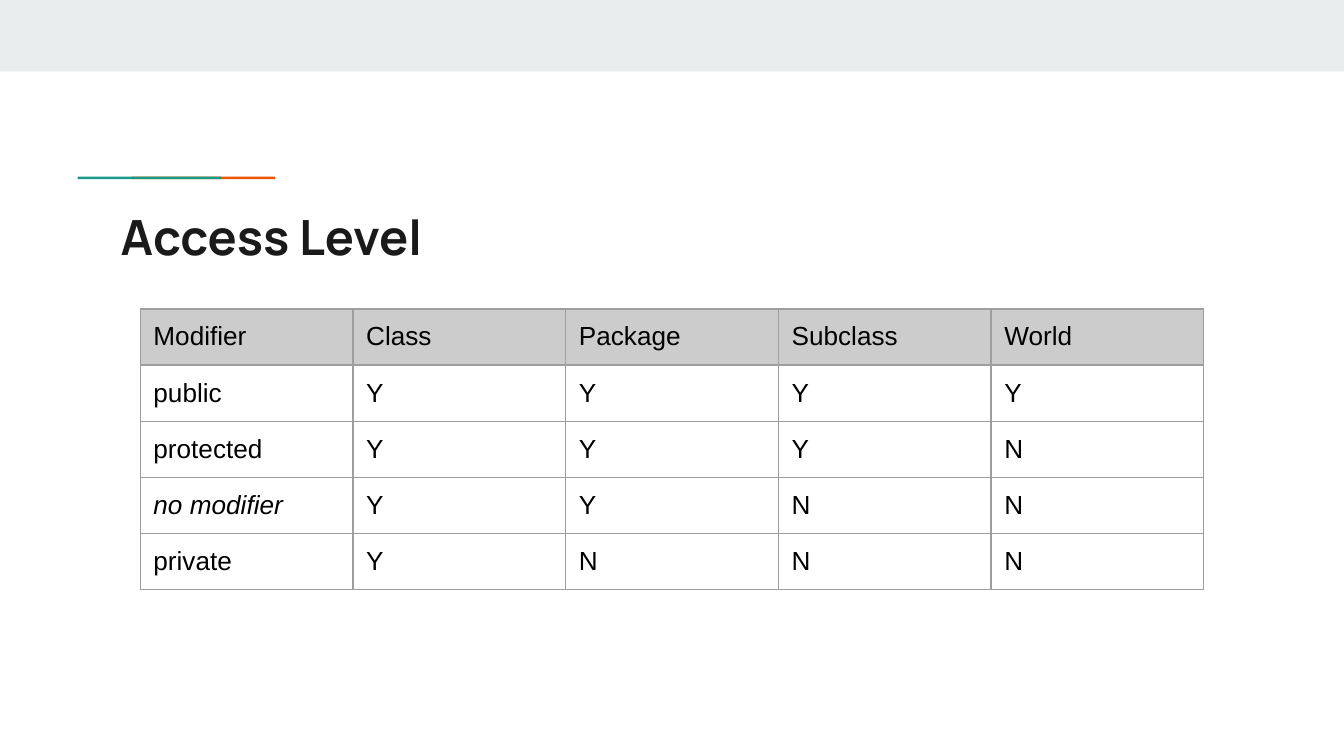
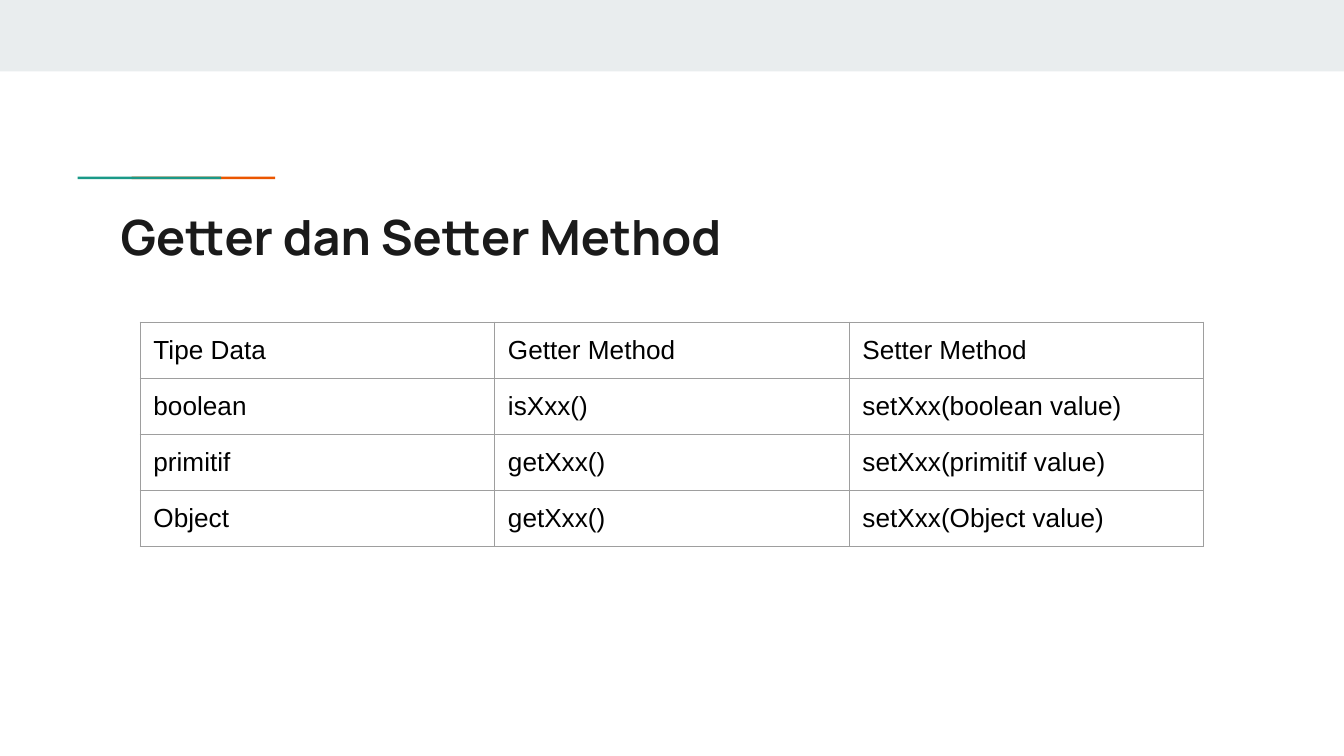
from lxml.etree import SubElement
from pptx import Presentation
from pptx.dml.color import RGBColor
from pptx.enum.shapes import MSO_SHAPE
from pptx.enum.text import MSO_ANCHOR, MSO_AUTO_SIZE, PP_ALIGN
from pptx.oxml.ns import qn
from pptx.util import Cm, Pt

# Shared style
BAND, TEAL, ORANGE = "E9EDEE", "1A9988", "EB5600"
INK, BLACK, BORDER, HEADER = "1A1A1A", "000000", "9E9E9E", "CCCCCC"
TITLE_FONT, TABLE_FONT = "Manrope", "Arial"
SLIDE_W, SLIDE_H = 25.4, 14.29
TABLE_LEFT, TABLE_W, ROW_H = 2.65, 20.1, 1.06
INSET = Cm(0.25)

ACCESS_LEVELS = [
    ["Modifier", "Class", "Package", "Subclass", "World"],
    ["public", "Y", "Y", "Y", "Y"],
    ["protected", "Y", "Y", "Y", "N"],
    ["no modifier", "Y", "Y", "N", "N"],
    ["private", "Y", "N", "N", "N"],
]
METHOD_NAMES = [
    ["Tipe Data", "Getter Method", "Setter Method"],
    ["boolean", "isXxx()", "setXxx(boolean value)"],
    ["primitif", "getXxx()", "setXxx(primitif value)"],
    ["Object", "getXxx()", "setXxx(Object value)"],
]


def color(value):
    return RGBColor.from_string(value)


def set_insets(box):
    box.margin_left = box.margin_right = INSET
    box.margin_top = box.margin_bottom = INSET


def add_run(p, text, font, size, fill, bold=False, italic=False):
    r = p.add_run()
    r.text = text
    r.font.name = font
    r.font.size = Pt(size)
    r.font.bold = bold
    r.font.italic = italic
    r.font.color.rgb = color(fill)


def add_bar(s, left, top, width, height, fill):
    sp = s.shapes.add_shape(MSO_SHAPE.RECTANGLE, Cm(left), Cm(top),
                            Cm(width), Cm(height))
    sp.shadow.inherit = False
    sp.fill.solid()
    sp.fill.fore_color.rgb = color(fill)
    sp.line.fill.background()


def add_title(s, text):
    sp = s.shapes.title
    sp.left, sp.top, sp.width, sp.height = Cm(2.03), Cm(3.66), Cm(21.36), Cm(1.5)
    tf = sp.text_frame
    tf.auto_size = MSO_AUTO_SIZE.NONE
    tf.word_wrap = True
    tf.vertical_anchor = MSO_ANCHOR.TOP
    set_insets(tf)
    p = tf.paragraphs[0]
    p.alignment = PP_ALIGN.LEFT
    add_run(p, text, TITLE_FONT, 26, INK, bold=True)


def add_slide(prs, title):
    s = prs.slides.add_slide(prs.slide_layouts[5])
    # Top band and two-colour accent line
    add_bar(s, 0, 0, SLIDE_W, 1.35, BAND)
    add_bar(s, 2.49, 3.34, 2.71, 0.05, ORANGE)
    add_bar(s, 1.47, 3.34, 2.71, 0.05, TEAL)
    add_title(s, title)
    return s


def set_borders(cell):
    tcPr = cell._tc.get_or_add_tcPr()
    for side in ("a:lnL", "a:lnR", "a:lnT", "a:lnB"):
        ln = SubElement(tcPr, qn(side), w=str(Pt(0.75)))
        fill = SubElement(ln, qn("a:solidFill"))
        SubElement(fill, qn("a:srgbClr"), val=BORDER)


def add_grid(s, top, rows, header_fill=None, italic_text=None):
    col_count = len(rows[0])
    table = s.shapes.add_table(len(rows), col_count, Cm(TABLE_LEFT), Cm(top),
                               Cm(TABLE_W), Cm(ROW_H * len(rows))).table
    table.first_row = table.horz_banding = False
    for col in table.columns:
        col.width = Cm(TABLE_W / col_count)
    for i, texts in enumerate(rows):
        table.rows[i].height = Cm(ROW_H)
        for j, text in enumerate(texts):
            cell = table.cell(i, j)
            set_insets(cell)
            set_borders(cell)
            if i == 0 and header_fill:
                cell.fill.solid()
                cell.fill.fore_color.rgb = color(header_fill)
            else:
                cell.fill.background()
            add_run(cell.text_frame.paragraphs[0], text, TABLE_FONT, 14, BLACK,
                    italic=text == italic_text)


def main():
    prs = Presentation()
    prs.slide_width, prs.slide_height = Cm(SLIDE_W), Cm(SLIDE_H)

    # Access modifiers
    s = add_slide(prs, "Access Level")
    add_grid(s, 5.84, ACCESS_LEVELS, HEADER, "no modifier")

    # Getter and setter naming
    s = add_slide(prs, "Getter dan Setter Method")
    add_grid(s, 6.09, METHOD_NAMES)

    prs.save("out.pptx")


if __name__ == "__main__":
    main()
